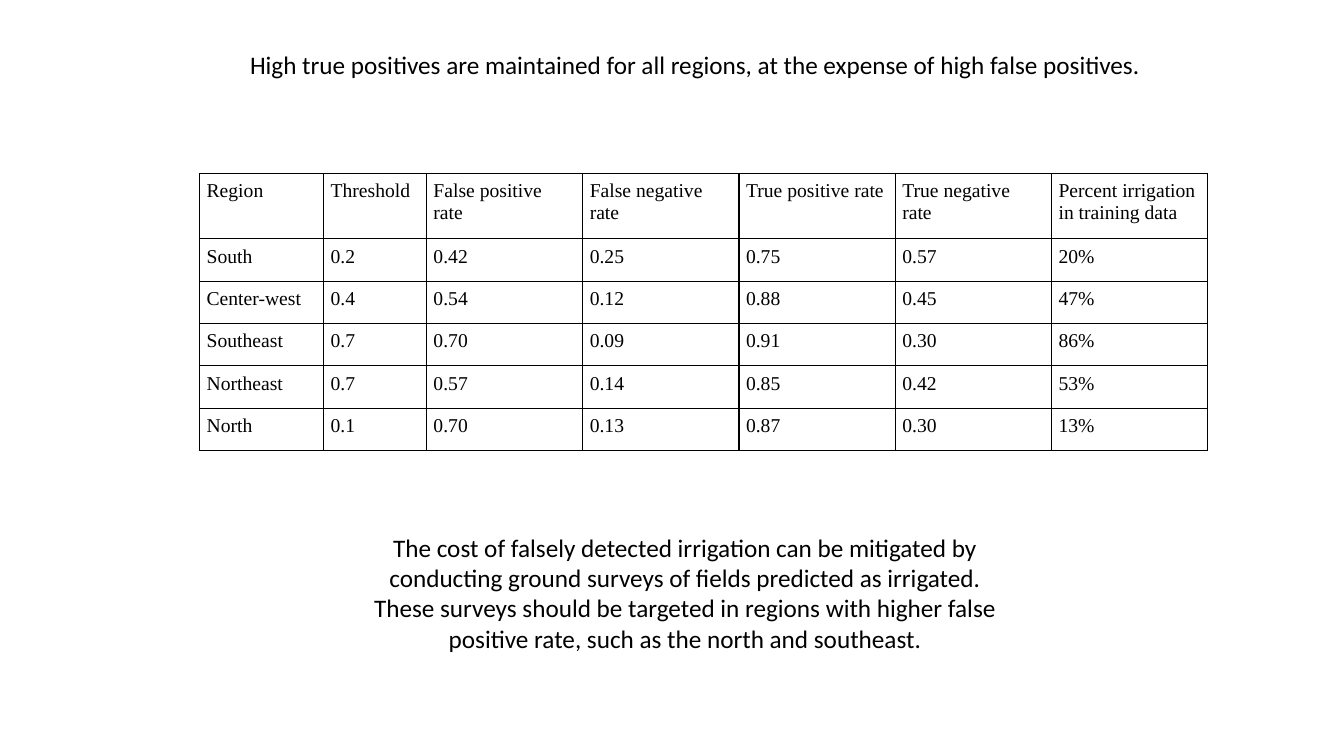
from collections import namedtuple
from dataclasses import dataclass

from lxml import etree
from pptx import Presentation
from pptx import util as u
from pptx.dml.color import RGBColor
from pptx.enum import text as t
from pptx.oxml import ns

Box = namedtuple("Box", "left top width height")


@dataclass(frozen=True)
class Theme:
    ink: str = "000000"
    text_font: str = "Calibri"
    table_font: str = "Times New Roman"
    text_size: int = 18
    table_size: int = 14
    border_width: int = 1
    cell_margin: float = 0.07


THEME = Theme()
HEADLINE = "High true positives are maintained for all regions, at the expense of high false positives."
CONCLUSIONS = [
    "The cost of falsely detected irrigation can be mitigated by conducting ground surveys of fields predicted as irrigated.",
    "These surveys should be targeted in regions with higher false positive rate, such as the north and southeast.",
]
RATES = [
    ["Region", "Threshold", "False positive rate", "False negative rate",
     "True positive rate", "True negative rate", "Percent irrigation in training data"],
    ["South", "0.2", "0.42", "0.25", "0.75", "0.57", "20%"],
    ["Center-west", "0.4", "0.54", "0.12", "0.88", "0.45", "47%"],
    ["Southeast", "0.7", "0.70", "0.09", "0.91", "0.30", "86%"],
    ["Northeast", "0.7", "0.57", "0.14", "0.85", "0.42", "53%"],
    ["North", "0.1", "0.70", "0.13", "0.87", "0.30", "13%"],
]
COLUMN_WIDTHS = [1.23, 1.02] + [1.55] * 5
ROW_HEIGHTS = [0.65] + [0.42] * 5


def write(frame, *lines, font=THEME.text_font, size=THEME.text_size,
          color=THEME.ink, align=t.PP_ALIGN.LEFT):
    for index, line in enumerate(lines):
        para = frame.paragraphs[0] if index == 0 else frame.add_paragraph()
        para.alignment = align
        span = para.add_run()
        span.text = line
        span.font.name = font
        span.font.size = u.Pt(size)
        span.font.color.rgb = RGBColor.from_string(color)


def draw_borders(cell):
    properties = cell._tc.get_or_add_tcPr()
    for index, side in enumerate(("lnL", "lnR", "lnT", "lnB")):
        line = etree.Element(ns.qn(f"a:{side}"), w=str(u.Pt(THEME.border_width)))
        fill = etree.SubElement(line, ns.qn("a:solidFill"))
        etree.SubElement(fill, ns.qn("a:srgbClr"), val=THEME.ink)
        properties.insert(index, line)


def add_headline(page, box):
    title = page.shapes.title
    title.left, title.top, title.width, title.height = map(u.Inches, box)
    frame = title.text_frame
    frame.word_wrap = False
    frame.auto_size = t.MSO_AUTO_SIZE.SHAPE_TO_FIT_TEXT
    frame.vertical_anchor = t.MSO_ANCHOR.TOP
    write(frame, HEADLINE)


def add_rates_table(page, box):
    table = page.shapes.add_table(len(RATES), len(COLUMN_WIDTHS), *map(u.Inches, box)).table
    table.first_row = False
    table.horz_banding = False
    for column, width in zip(table.columns, COLUMN_WIDTHS):
        column.width = u.Inches(width)
    for row, height, values in zip(table.rows, ROW_HEIGHTS, RATES):
        row.height = u.Inches(height)
        for cell, value in zip(row.cells, values):
            margin = u.Inches(THEME.cell_margin)
            cell.margin_left = cell.margin_right = margin
            cell.margin_top = cell.margin_bottom = margin
            cell.fill.background()
            draw_borders(cell)
            write(cell.text_frame, value, font=THEME.table_font, size=THEME.table_size)


def add_conclusions(page, box):
    frame = page.shapes.add_textbox(*map(u.Inches, box)).text_frame
    frame.word_wrap = True
    frame.auto_size = t.MSO_AUTO_SIZE.SHAPE_TO_FIT_TEXT
    write(frame, *CONCLUSIONS, align=t.PP_ALIGN.CENTER)


def main():
    deck = Presentation()
    deck.slide_width, deck.slide_height = u.Inches(13.33), u.Inches(7.5)
    page = deck.slides.add_slide(deck.slide_layouts.get_by_name("Title Only"))
    add_headline(page, Box(2.38, 0.44, 9.08, 0.4))
    add_rates_table(page, Box(1.98, 1.72, sum(COLUMN_WIDTHS), sum(ROW_HEIGHTS)))
    add_conclusions(page, Box(3.33, 5.23, 6.93, 1.31))
    deck.save("out.pptx")


if __name__ == "__main__":
    main()
